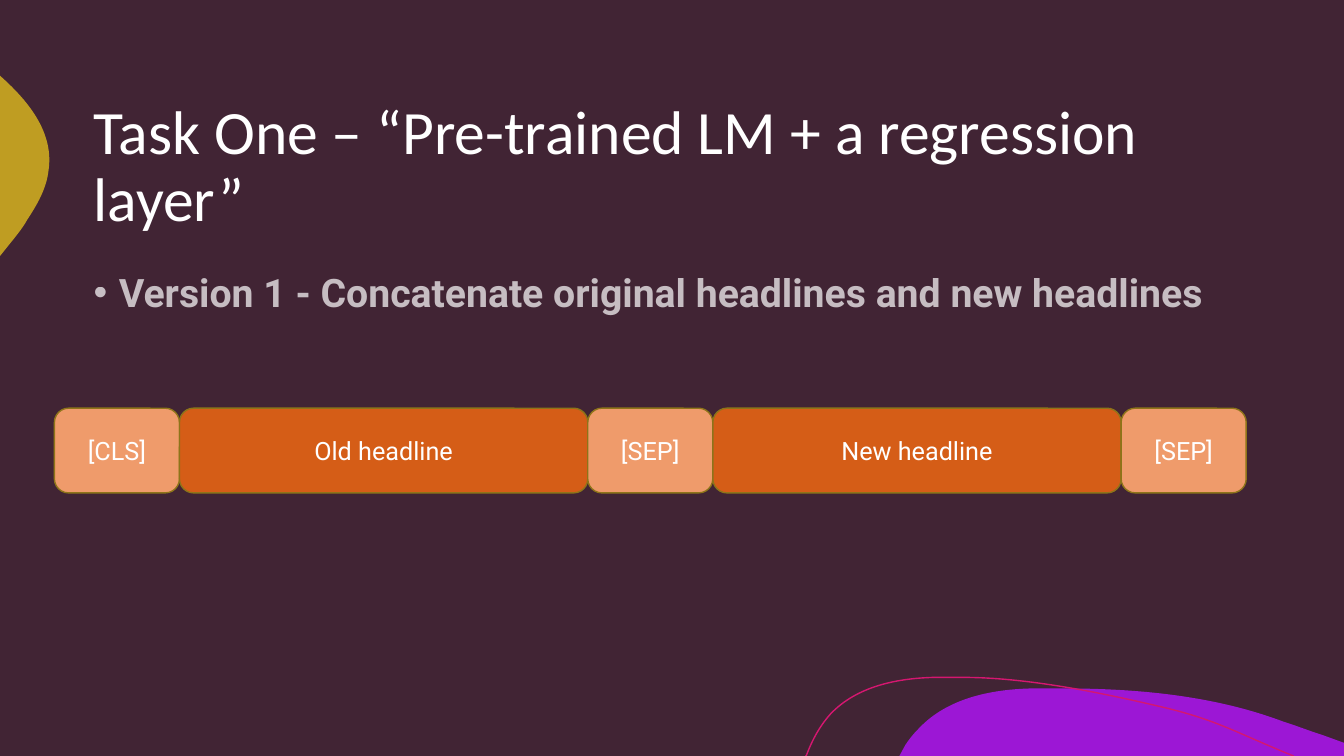
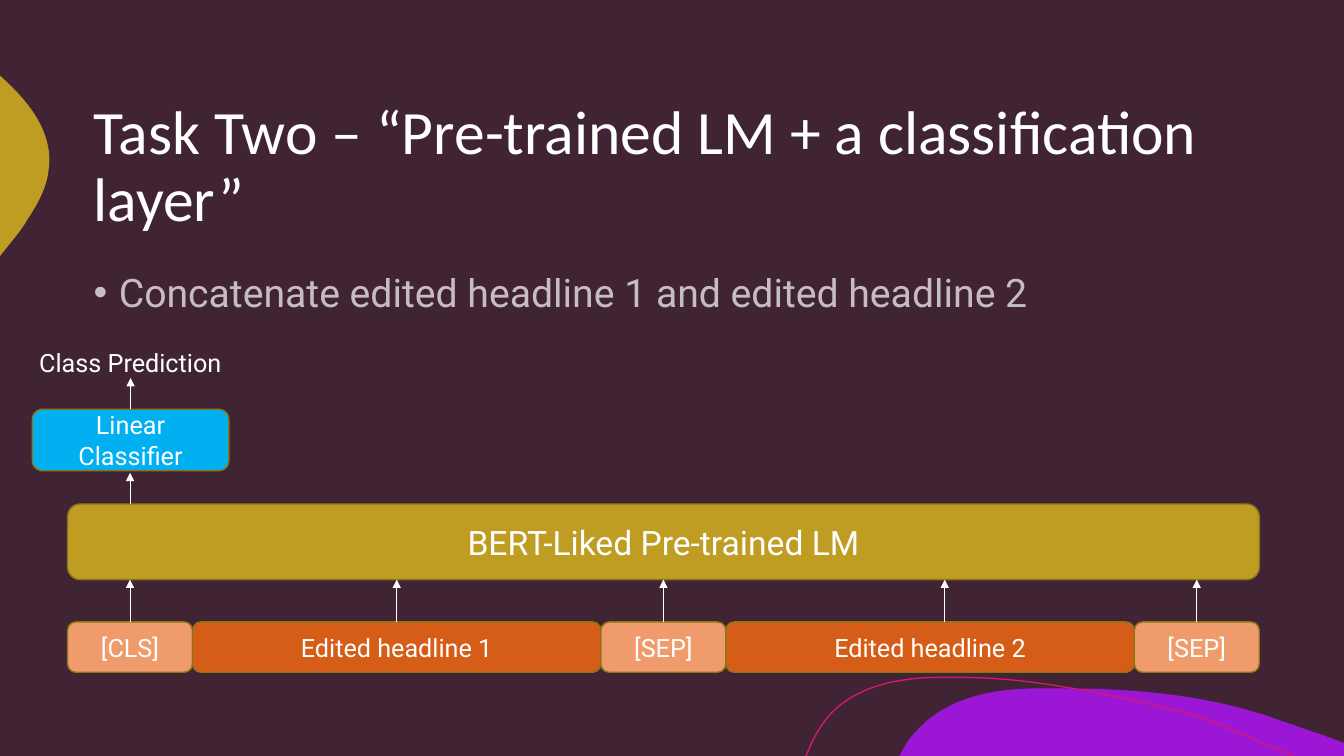
from dataclasses import dataclass

from lxml import etree
from pptx import Presentation
from pptx.dml.color import RGBColor
from pptx.enum.shapes import MSO_CONNECTOR, MSO_SHAPE
from pptx.enum.text import MSO_ANCHOR, MSO_AUTO_SIZE, PP_ALIGN
from pptx.oxml.ns import qn
from pptx.util import Inches, Pt

ROUNDED = MSO_SHAPE.ROUNDED_RECTANGLE
STRAIGHT = MSO_CONNECTOR.STRAIGHT
LEFT, CENTER = PP_ALIGN.LEFT, PP_ALIGN.CENTER
TOP, MIDDLE = MSO_ANCHOR.TOP, MSO_ANCHOR.MIDDLE
GROW = MSO_AUTO_SIZE.SHAPE_TO_FIT_TEXT
TOP_SITE, BOTTOM_SITE = 0, 2


@dataclass(frozen=True)
class Theme:
    background: str = "412434"
    text: str = "FFFFFF"
    outline: str = "8D7419"
    marker: str = "EF9B6B"
    headline: str = "D55D17"
    gold: str = "BF9D22"
    classifier: str = "00B0F0"
    purple: str = "9C17D5"
    pink: str = "D51770"
    title_font: str = "Calibri"
    body_font: str = "Roboto"
    title_size: int = 44
    body_size: int = 28
    model_size: int = 24
    label_size: int = 18
    body_opacity: int = 70


THEME = Theme()
MARKER_WIDTH, HEADLINE_WIDTH = 1.24, 4.05
ROW_WIDTH = 3 * MARKER_WIDTH + 2 * HEADLINE_WIDTH

PURPLE_BLOB = [
    (10.54, 6.83),
    (11.28, 6.83, 12.04, 6.9, 12.73, 7.16),
    (12.86, 7.2, 12.98, 7.25, 13.11, 7.29),
    (13.33, 7.37), (13.33, 7.5), (8.92, 7.5), (8.98, 7.39),
    (9.02, 7.33, 9.06, 7.28, 9.11, 7.23),
    (9.39, 6.93, 9.82, 6.84, 10.23, 6.83),
    (10.33, 6.83, 10.43, 6.83, 10.54, 6.83),
]
GOLD_BLOB = [
    (0, 0.75), (0.01, 0.76),
    (0.3, 1.02, 0.54, 1.33, 0.48, 1.7),
    (0.46, 1.87, 0.37, 2.03, 0.27, 2.18),
    (0.24, 2.24, 0.17, 2.33, 0.08, 2.44),
    (0, 2.54),
]
PINK_CURVE = [
    (7.99, 7.5), (8, 7.49),
    (8.06, 7.33, 8.14, 7.19, 8.24, 7.08),
    (8.5, 6.81, 8.89, 6.73, 9.26, 6.72),
    (9.55, 6.72),
    (10.22, 6.72, 11, 6.89, 11.55, 7.02),
    (12.09, 7.15, 12.26, 7.27, 12.83, 7.5),
]


def rgb(color):
    return RGBColor.from_string(color)


def write_text(shape, text, *, size=THEME.label_size, font=THEME.body_font,
               bold=False, opacity=100, align=LEFT, anchor=TOP, wrap=True,
               line_spacing=None, space_before=None, bullet=False):
    frame = shape.text_frame
    frame.word_wrap = wrap
    frame.vertical_anchor = anchor
    para = frame.paragraphs[0]
    para.alignment = align
    if line_spacing is not None:
        para.line_spacing = line_spacing
    if space_before is not None:
        para.space_before = Pt(space_before)
    if bullet:
        add_bullet(para)
    span = para.add_run()
    span.text = text
    span.font.size = Pt(size)
    span.font.name = font
    span.font.bold = bold
    span.font.color.rgb = rgb(THEME.text)
    if opacity < 100:
        color = span._r.find(".//" + qn("a:srgbClr"))
        etree.SubElement(color, qn("a:alpha"), val=str(opacity * 1000))


def add_bullet(para):
    properties = para._p.get_or_add_pPr()
    properties.set("marL", str(Inches(0.25)))
    properties.set("indent", str(Inches(-0.25)))
    etree.SubElement(properties, qn("a:buFont"), typeface="Arial")
    etree.SubElement(properties, qn("a:buChar"), char="•")


def add_text_box(page, left, top, width, height, text, **text_format):
    box = page.shapes.add_textbox(
        Inches(left), Inches(top), Inches(width), Inches(height))
    write_text(box, text, **text_format)
    return box


def add_box(page, left, top, width, height, text, fill,
            size=THEME.label_size):
    box = page.shapes.add_shape(
        ROUNDED, Inches(left), Inches(top), Inches(width), Inches(height))
    box.shadow.inherit = False
    box.fill.solid()
    box.fill.fore_color.rgb = rgb(fill)
    box.line.color.rgb = rgb(THEME.outline)
    box.line.width = Pt(1)
    write_text(box, text, size=size, align=CENTER, anchor=MIDDLE)
    return box


def middle_of(box):
    return box.left + box.width // 2


def add_arrow(page, x, bottom, top, source=None, target=None):
    arrow = page.shapes.add_connector(
        STRAIGHT, x, Inches(bottom), x, Inches(top))
    if source is not None:
        arrow.begin_connect(source, TOP_SITE)
    if target is not None:
        arrow.end_connect(target, BOTTOM_SITE)
    arrow.line.color.rgb = rgb(THEME.text)
    arrow.line.width = Pt(0.5)
    properties = arrow._element.spPr
    etree.SubElement(properties.find(qn("a:ln")), qn("a:tailEnd"),
                     type="triangle")
    etree.SubElement(properties, qn("a:effectLst"))


def bend_sides(curve, segments):
    sides = list(curve._element.iter(qn("a:lnTo")))
    for side, segment in zip(sides, segments):
        if len(segment) == 2:
            continue
        bend = etree.Element(qn("a:cubicBezTo"))
        for x, y in zip(segment[::2], segment[1::2]):
            etree.SubElement(bend, qn("a:pt"),
                             x=str(Inches(x) - curve.left),
                             y=str(Inches(y) - curve.top))
        side.getparent().replace(side, bend)


def add_curve(page, segments, fill=None, line=None):
    corners = [(Inches(segment[-2]), Inches(segment[-1]))
               for segment in segments]
    builder = page.shapes.build_freeform(*corners[0])
    builder.add_line_segments(corners[1:], close=fill is not None)
    curve = builder.convert_to_shape()
    bend_sides(curve, segments[1:])
    curve.shadow.inherit = False
    if fill:
        curve.fill.solid()
        curve.fill.fore_color.rgb = rgb(fill)
    else:
        curve.fill.background()
    if line:
        curve.line.color.rgb = rgb(line)
        curve.line.width = Pt(1)
    else:
        curve.line.fill.background()


def add_page(deck, title, statement, bold=False):
    page = deck.slides.add_slide(deck.slide_layouts[6])
    add_curve(page, PURPLE_BLOB, fill=THEME.purple)
    add_curve(page, GOLD_BLOB, fill=THEME.gold)
    add_curve(page, PINK_CURVE, line=THEME.pink)
    add_text_box(page, 0.83, 0.83, 11.67, 1.67, title,
                 size=THEME.title_size, font=THEME.title_font,
                 anchor=MIDDLE, line_spacing=0.9)
    add_text_box(page, 0.83, 2.5, 11.67, 0.7, statement,
                 size=THEME.body_size, bold=bold,
                 opacity=THEME.body_opacity, line_spacing=1.25,
                 space_before=10, bullet=True)
    return page


def add_token_row(page, left, top, height, first, second):
    boxes = []
    for text in ("[CLS]", first, "[SEP]", second, "[SEP]"):
        is_marker = text.startswith("[")
        width = MARKER_WIDTH if is_marker else HEADLINE_WIDTH
        fill = THEME.marker if is_marker else THEME.headline
        boxes.append(add_box(page, left, top, width, height, text, fill))
        left += width
    return boxes


def add_regression_page(deck):
    page = add_page(
        deck, "Task One – “Pre-trained LM + a regression layer”",
        "Version 1 - Concatenate original headlines and new headlines",
        bold=True)
    add_token_row(page, 0.54, 4.05, 0.84, "Old headline", "New headline")


def add_classification_page(deck):
    page = add_page(
        deck, "Task Two – “Pre-trained LM + a classification layer”",
        "Concatenate edited headline 1 and edited headline 2")
    left, token_top, model_top, model_height = 0.67, 6.17, 5, 0.75
    model_bottom = model_top + model_height
    cls, first, separator, _, last = add_token_row(
        page, left, token_top, 0.5, "Edited headline 1", "Edited headline 2")
    model = add_box(page, left, model_top, ROW_WIDTH, model_height,
                    "BERT-Liked Pre-trained LM", THEME.gold,
                    size=THEME.model_size)
    for source, target in ((cls, None), (first, None),
                           (separator, model), (last, None)):
        add_arrow(page, middle_of(source), token_top, model_bottom,
                  source, target)
    add_arrow(page, Inches(9.37), token_top, model_bottom)
    add_arrow(page, middle_of(cls), model_top, 4.69)
    classifier = add_box(page, 0.32, 4.06, 1.95, 0.61,
                         "Linear Classifier", THEME.classifier)
    add_arrow(page, middle_of(classifier), 4.06, 3.75, source=classifier)
    prediction = add_text_box(page, 0.29, 3.4, 2.01, 0.4,
                              "Class Prediction", wrap=False)
    prediction.text_frame.auto_size = GROW


def main():
    deck = Presentation()
    deck.slide_width = Inches(13.33)
    deck.slide_height = Inches(7.5)
    backdrop = deck.slide_master.background.fill
    backdrop.solid()
    backdrop.fore_color.rgb = rgb(THEME.background)
    add_regression_page(deck)
    add_classification_page(deck)
    deck.save("out.pptx")


if __name__ == "__main__":
    main()
